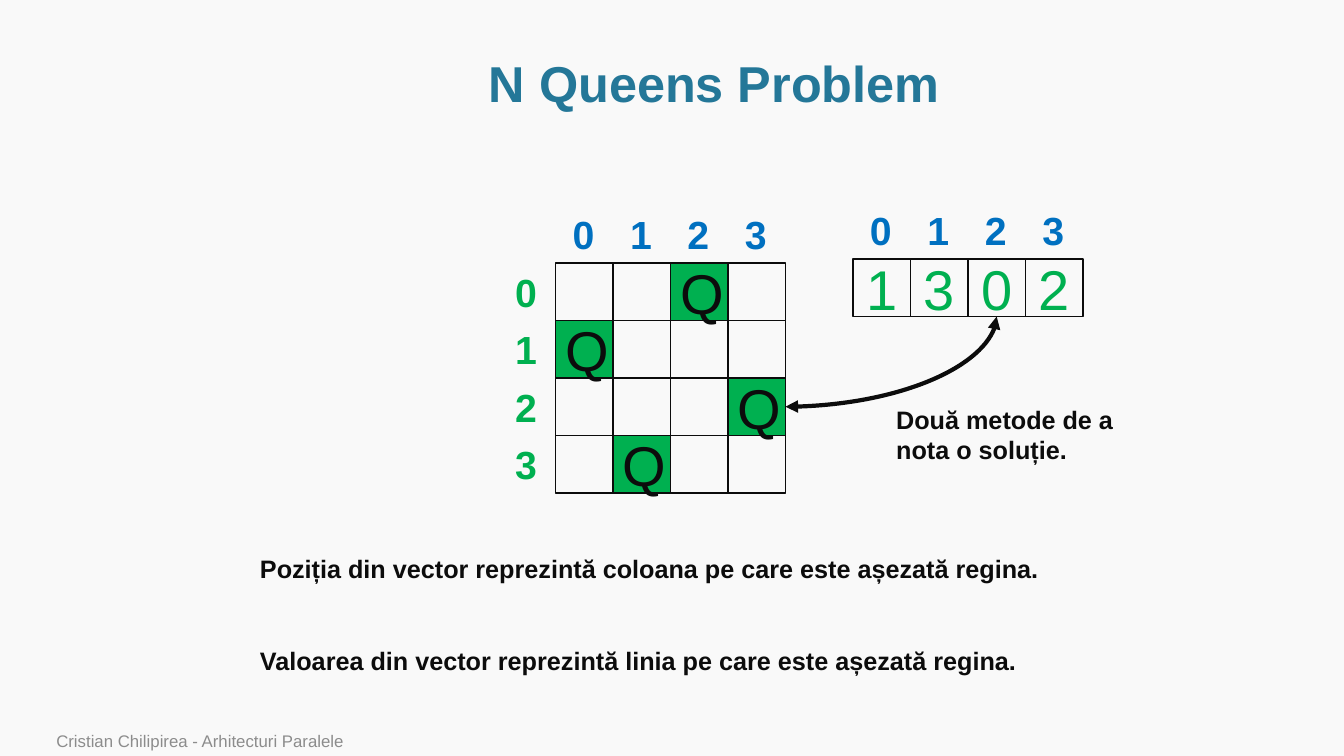
import pptx
import pptx.util
import pptx.dml.color
import pptx.enum.shapes
import pptx.enum.text
import pptx.oxml
import pptx.oxml.ns

Inches = pptx.util.Inches
Pt = pptx.util.Pt
RGB = pptx.dml.color.RGBColor
Align = pptx.enum.text.PP_ALIGN
Anchor = pptx.enum.text.MSO_ANCHOR
Fit = pptx.enum.text.MSO_AUTO_SIZE
qn = pptx.oxml.ns.qn

PAPER = RGB(0xF9, 0xF9, 0xF9)
INK = RGB(0x0C, 0x0C, 0x0C)
TEAL = RGB(0x24, 0x77, 0x98)
BLUE = RGB(0x00, 0x70, 0xC0)
GREEN = RGB(0x00, 0xB0, 0x50)
GRAY = RGB(0x8C, 0x8C, 0x8C)

CELL = 0.57
BOARD = (5.51, 2.61)
ARRAY = (8.46, 2.57)
QUEENS = [1, 3, 0, 2]  # row of the queen in each column
COUNT = len(QUEENS)


def place(grid, row, col):
    """Left and top, in inches, of a cell in a grid."""
    return grid[0] + col * CELL, grid[1] + row * CELL


def style(para, size, color, bold=False):
    para.font.name = "Arial"
    para.font.size = Pt(size)
    para.font.color.rgb = color
    para.font.bold = bold


def add_text(slide, box, lines, size, color, bold=True, wrap=True, gap=0):
    """Text box with one paragraph a line; gap is the space between them."""
    frame = slide.shapes.add_textbox(*map(Inches, box)).text_frame
    frame.word_wrap = wrap
    frame.auto_size = Fit.SHAPE_TO_FIT_TEXT
    frame.text = "\n".join(lines)
    for para in frame.paragraphs:
        style(para, size, color, bold)
    for para in frame.paragraphs[1:]:
        para.space_before = Pt(gap)
    return frame


def add_cell(slide, grid, row, col, text="", color=INK, fill=None):
    left, top = place(grid, row, col)
    kind = pptx.enum.shapes.MSO_SHAPE.RECTANGLE
    cell = slide.shapes.add_shape(kind, *map(Inches, (left, top, CELL, CELL)))
    cell.shadow.inherit = False
    cell.line.color.rgb = INK
    cell.line.width = Pt(1)
    if fill is None:
        cell.fill.background()
    else:
        cell.fill.solid()
        cell.fill.fore_color.rgb = fill
    if text:
        frame = cell.text_frame
        frame.text = text
        frame.vertical_anchor = Anchor.MIDDLE
        frame.paragraphs[0].alignment = Align.CENTER
        style(frame.paragraphs[0], 40, color)


def add_label(slide, grid, row, col, text, color):
    left, top = place(grid, row, col)
    add_text(slide, (left + 0.07, top, 0.42, CELL), [text], 28, color, wrap=False)


def add_curve(slide, start, end):
    """Double arrow that leaves start downwards and reaches end sideways."""
    wide, high = abs(end[1] - start[1]), abs(end[0] - start[0])
    mid_x, mid_y = (start[0] + end[0]) / 2, (start[1] + end[1]) / 2
    ends = (mid_x - wide / 2, mid_y - high / 2, mid_x + wide / 2, mid_y + high / 2)
    kind = pptx.enum.shapes.MSO_CONNECTOR.CURVE
    curve = slide.shapes.add_connector(kind, *map(Inches, ends))
    curve.line.color.rgb = INK
    curve.line.width = Pt(3)
    props = curve._element.spPr
    props.find(qn("a:xfrm")).set("rot", str(90 * 60000))
    props.find(qn("a:prstGeom")).set("prst", "curvedConnector2")
    for tag in ("a:headEnd", "a:tailEnd"):
        tip = pptx.oxml.parse_xml(f"<{tag} {pptx.oxml.ns.nsdecls('a')} type='triangle'/>")
        props.find(qn("a:ln")).append(tip)
    props.append(pptx.oxml.parse_xml(f"<a:effectLst {pptx.oxml.ns.nsdecls('a')}/>"))


def add_title(slide, text):
    title = slide.shapes.title
    title.left, title.top, title.width, title.height = map(
        Inches, (1.14, 0.51, 11.89, 0.69))
    title.text_frame.text = text
    title.text_frame.vertical_anchor = Anchor.MIDDLE
    para = title.text_frame.paragraphs[0]
    para.alignment = Align.CENTER
    para.line_spacing = 0.9
    style(para, 36, TEAL, True)


def add_board(slide):
    for row in range(COUNT):
        for col in range(COUNT):
            if QUEENS[col] == row:
                add_cell(slide, BOARD, row, col, "Q", fill=GREEN)
            else:
                add_cell(slide, BOARD, row, col)
    for index in range(COUNT):
        add_label(slide, BOARD, -1, index, str(index), BLUE)
        add_label(slide, BOARD, index, -1, str(index), GREEN)


def add_array(slide):
    for col, row in enumerate(QUEENS):
        add_cell(slide, ARRAY, 0, col, str(row), GREEN)
        add_label(slide, ARRAY, -1, col, str(col), BLUE)


def main():
    deck = pptx.Presentation()
    deck.slide_width, deck.slide_height = Inches(13.33), Inches(7.5)
    slide = deck.slides.add_slide(deck.slide_layouts[5])
    slide.background.fill.solid()
    slide.background.fill.fore_color.rgb = PAPER

    add_title(slide, "N Queens Problem")
    add_board(slide)
    add_array(slide)
    add_curve(slide, place(ARRAY, 1, 2.5), place(BOARD, 2.5, COUNT))
    add_text(slide, (8.79, 3.96, 2.76, 1.01),
             ["Două metode de a nota o soluție."], 18, INK)
    foot = add_text(slide, (0.46, 7.22, 9.82, 0.28),
                    ["Cristian Chilipirea - Arhitecturi Paralele"], 12, GRAY, bold=False)
    foot.auto_size = Fit.NONE
    foot.vertical_anchor = Anchor.BOTTOM
    add_text(slide, (2.48, 5.44, 8.48, 1.31),
             ["Poziția din vector reprezintă coloana pe care este așezată regina.",
              "Valoarea din vector reprezintă linia pe care este așezată regina."],
             18, INK, gap=44)
    deck.save("out.pptx")


if __name__ == "__main__":
    main()
